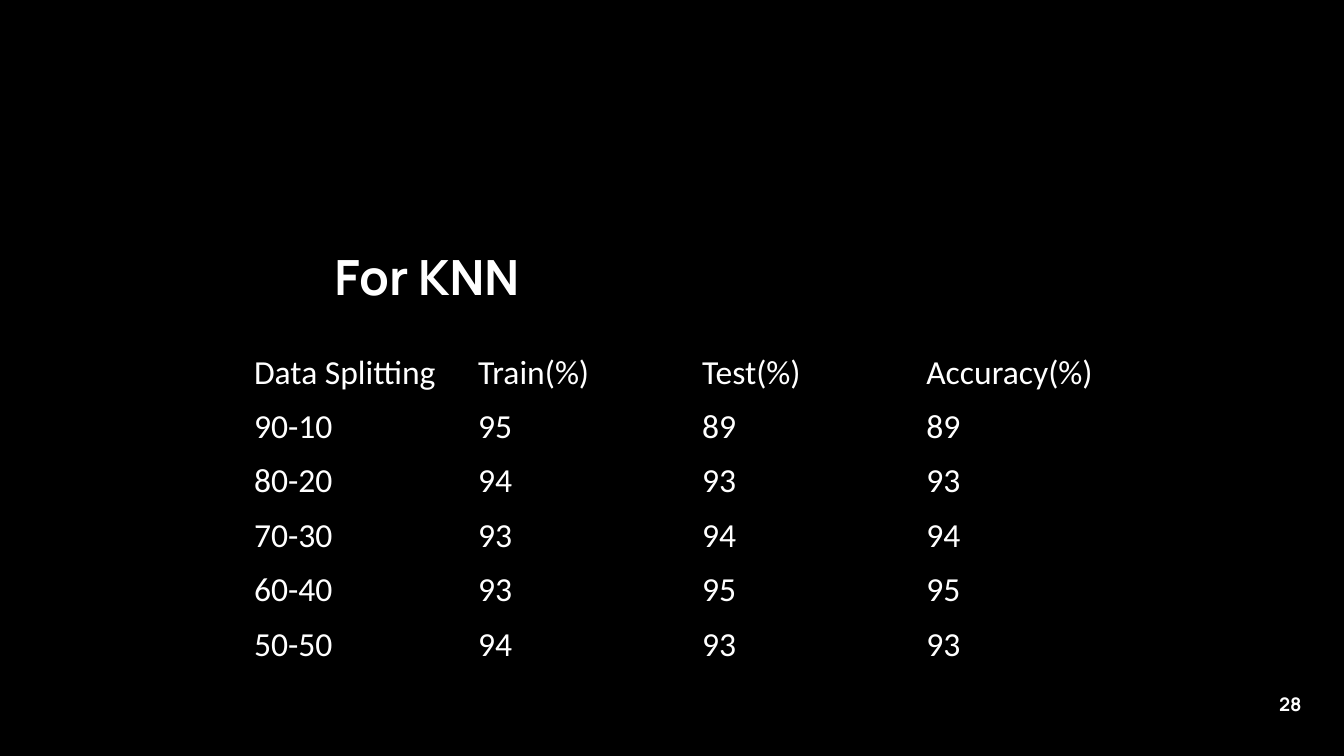
from dataclasses import dataclass

from pptx import Presentation
from pptx.dml.color import RGBColor
from pptx.enum.text import MSO_ANCHOR, PP_ALIGN
from pptx.util import Inches, Pt

LEFT, CENTER = PP_ALIGN.LEFT, PP_ALIGN.CENTER
TOP, MIDDLE = MSO_ANCHOR.TOP, MSO_ANCHOR.MIDDLE
BLACK, WHITE = "000000", "FFFFFF"
NO_GRID = "{2D5ABB26-0587-4C30-8999-92F81FD0307C}"


@dataclass
class Label:
    text: str
    left: float
    top: float
    width: float
    height: float
    size: int
    align: PP_ALIGN = LEFT
    anchor: MSO_ANCHOR = TOP
    before: int = 0


LABELS = [
    Label("For KNN", 2.39, 1.74, 5.22, 3.57, 26, before=6),
    Label("28", 9.36, 5, 0.48, 0.48, 10, CENTER, MIDDLE),
]
ROWS = [
    ("Data Splitting", "Train(%)", "Test(%)", "Accuracy(%)"),
    ("90-10", "95", "89", "89"),
    ("80-20", "94", "93", "93"),
    ("70-30", "93", "94", "94"),
    ("60-40", "93", "95", "95"),
    ("50-50", "94", "93", "93"),
]


def color(code: str) -> RGBColor:
    return RGBColor.from_string(code)


def style(para, name: str, size: int, bold: bool = False) -> None:
    font = para.font
    font.name, font.size, font.bold = name, Pt(size), bold
    font.color.rgb = color(WHITE)


def add_label(slide, label: Label) -> None:
    box = slide.shapes.add_textbox(
        Inches(label.left), Inches(label.top),
        Inches(label.width), Inches(label.height))
    frame = box.text_frame
    frame.word_wrap = True
    frame.vertical_anchor = label.anchor
    frame.margin_left = frame.margin_right = Inches(0.1)
    frame.margin_top = frame.margin_bottom = Inches(0.1)
    para = frame.paragraphs[0]
    para.text = label.text
    para.alignment = label.align
    para.space_before = Pt(label.before)
    style(para, "Manrope", label.size, True)


def add_scores(slide, rows: list[tuple[str, ...]]) -> None:
    table = slide.shapes.add_table(
        len(rows), len(rows[0]), Inches(1.79), Inches(2.57),
        Inches(6.67), Inches(2.43)).table
    table.first_row = table.horz_banding = False
    # Plain table style without grid lines
    table._tbl.tblPr[0].text = NO_GRID
    for r, row in enumerate(rows):
        for c, text in enumerate(row):
            cell = table.cell(r, c)
            cell.fill.background()
            cell.text = text
            style(cell.text_frame.paragraphs[0], "Calibri", 18)


def main() -> None:
    deck = Presentation()
    # Widescreen page, 16:9
    deck.slide_width = Inches(10)
    deck.slide_height = Inches(10 * 9 / 16)
    slide = deck.slides.add_slide(deck.slide_layouts[6])
    fill = slide.background.fill
    fill.solid()
    fill.fore_color.rgb = color(BLACK)

    # Heading and page number
    for label in LABELS:
        add_label(slide, label)

    # Scores for each data split
    add_scores(slide, ROWS)
    deck.save("out.pptx")


if __name__ == "__main__":
    main()
